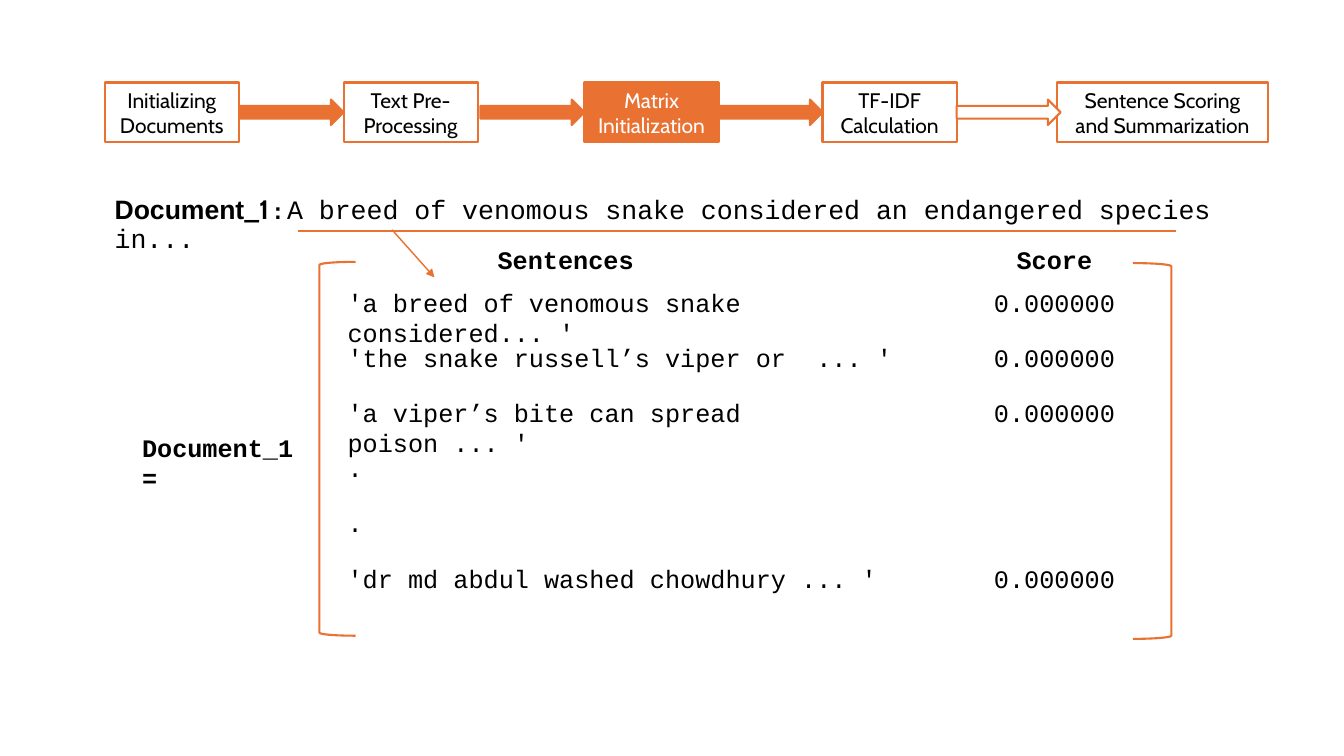
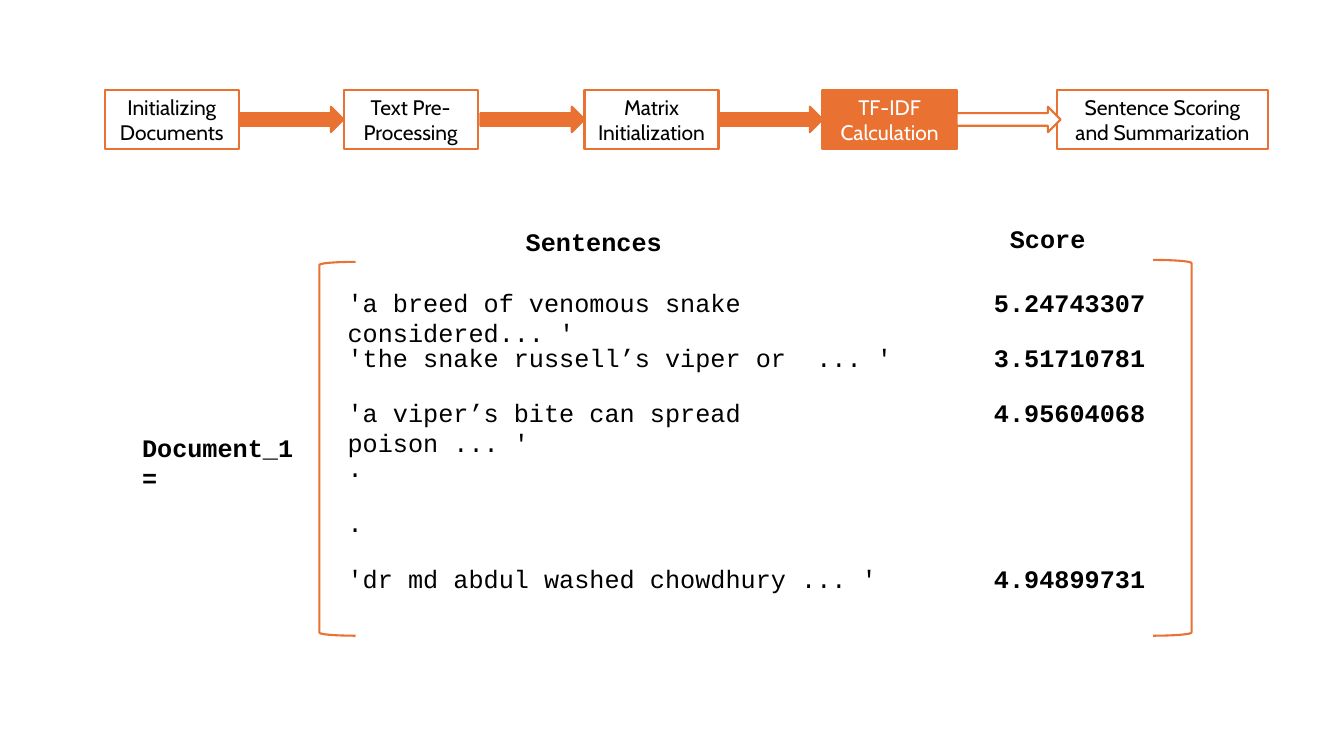
from lxml.etree import SubElement
from pptx import Presentation
from pptx.dml.color import RGBColor
from pptx.enum.shapes import MSO_CONNECTOR, MSO_SHAPE
from pptx.enum.text import MSO_ANCHOR, MSO_AUTO_SIZE, PP_ALIGN
from pptx.oxml.ns import qn
from pptx.util import Cm, Pt

# Content: "~" stands for a non-breaking space
STEPS = [  # text, left, width
    ("Initializing Documents", 2.64, 3.38),
    ("Text~Pre-Processing", 8.66, 3.38),
    ("Matrix Initialization", 14.73, 3.38),
    ("TF-IDF Calculation", 20.73, 3.38),
    ("Sentence Scoring and Summarization", 26.64, 5.31),
]
SENTENCES = [
    "'a breed of venomous snake considered...~'",
    "'the snake russell’s viper or~ ...~'",
    "'a viper’s bite can spread poison ...~'",
    ".",
    ".",
    "'dr md abdul washed chowdhury~...~'",
]
INTRO = [  # text, font, bold
    ("Document", "Arial", True),
    ("_1 :~", "Cabin", True),
    ("A breed of venomous snake considered an endangered species in...",
     "Courier New", False),
]
SLIDES = [
    {
        "active": 2, "flow_top": 2.08, "intro": INTRO,
        "scores": ["0.000000", "0.000000", "0.000000", "", "", "0.000000"],
        "bold_scores": False,
        "headings": [("Sentences", 12.29, 6.02), ("Score", 25.37, 6.02)],
        "right_bracket": (28.55, 6.63),
    },
    {
        "active": 3, "flow_top": 2.26, "intro": [],
        "scores": ["5.24743307", "3.51710781", "4.95604068", "", "",
                   "4.94899731"],
        "bold_scores": True,
        "headings": [("Sentences", 13.0, 5.59), ("Score", 25.2, 5.51)],
        "right_bracket": (29.06, 6.55),
    },
]

# Shared style and grid, in centimetres
COLORS = {"accent": "E97132", "text": "000000", "paper": "FFFFFF"}
MONO, SANS = "Courier New", "Cabin"
STEP_H, ARROW_W, ARROW_H = 1.5, 2.62, 0.64
ROW_TOP, ROW_STEP, LINE_H = 7.11, 1.39, 1.02
SENTENCE_X, SENTENCE_W = 8.51, 15.29
SCORE_X, LABEL_W = 24.8, 4.83


def rgb(name):
    return RGBColor.from_string(COLORS[name])


def add_text(p, text, font=MONO, size=18, color="text", bold=False):
    r = p.add_run()
    r.text = text.replace("~", chr(160))
    r.font.name, r.font.size, r.font.bold = font, Pt(size), bold
    r.font.color.rgb = rgb(color)


def add_box(s, x, y, w, h=LINE_H):
    tf = s.shapes.add_textbox(Cm(x), Cm(y), Cm(w), Cm(h)).text_frame
    tf.word_wrap = True
    tf.auto_size = MSO_AUTO_SIZE.SHAPE_TO_FIT_TEXT
    return tf.paragraphs[0]


def add_outlined(s, kind, x, y, w, h, fill=None):
    sp = s.shapes.add_shape(kind, Cm(x), Cm(y), Cm(w), Cm(h))
    sp.shadow.inherit = False
    if fill:
        sp.fill.solid()
        sp.fill.fore_color.rgb = rgb(fill)
    else:
        sp.fill.background()
    sp.line.color.rgb = rgb("accent")
    sp.line.width = Pt(1.5)
    return sp


def add_line(s, x1, y1, x2, y2, arrow=False):
    line = s.shapes.add_connector(MSO_CONNECTOR.STRAIGHT,
                                  Cm(x1), Cm(y1), Cm(x2), Cm(y2))
    line.line.color.rgb = rgb("accent")
    line.line.width = Pt(1)
    if arrow:
        SubElement(line.line._get_or_add_ln(), qn("a:tailEnd"),
                   type="triangle")
    SubElement(line._element.spPr, qn("a:effectLst"))


def add_flow(s, top, active):
    for i, (text, x, w) in enumerate(STEPS):
        on = i == active
        sp = add_outlined(s, MSO_SHAPE.RECTANGLE, x, top, w, STEP_H,
                          fill="accent" if on else "paper")
        tf = sp.text_frame
        tf.vertical_anchor = MSO_ANCHOR.MIDDLE
        p = tf.paragraphs[0]
        p.alignment = PP_ALIGN.CENTER
        add_text(p, text, font=SANS, size=15,
                 color="paper" if on else "text")
    # Arrows between neighbours; the last step is still open
    for i, ((_, x, w), (_, next_x, _)) in enumerate(zip(STEPS, STEPS[1:])):
        last = i == len(STEPS) - 2
        add_outlined(s, MSO_SHAPE.RIGHT_ARROW, max(x + w, next_x - ARROW_W),
                     top + (STEP_H - ARROW_H) / 2, ARROW_W, ARROW_H,
                     fill="paper" if last else "accent")


def add_intro(s, parts):
    p = add_box(s, 2.64, 4.83, 28.96, 1.8)
    p.line_spacing, p.space_before = 0.9, Pt(10)
    for text, font, bold in parts:
        add_text(p, text, font=font, size=19, bold=bold)
    add_line(s, 9.88, 5.79, 10.95, 6.99, arrow=True)
    add_line(s, 7.52, 5.82, 29.64, 5.82)


def add_matrix(s, data):
    add_outlined(s, MSO_SHAPE.RIGHT_BRACKET, *data["right_bracket"],
                 0.97, 9.47)
    add_outlined(s, MSO_SHAPE.LEFT_BRACKET, 8.05, 6.6, 0.91, 9.42)
    for i, (sentence, score) in enumerate(zip(SENTENCES, data["scores"])):
        y = ROW_TOP + i * ROW_STEP
        add_text(add_box(s, SENTENCE_X, y, SENTENCE_W), sentence)
        if score:
            add_text(add_box(s, SCORE_X, y, LABEL_W), score,
                     bold=data["bold_scores"])
    for text, x, y in data["headings"] + [("Document_1~=", 3.33, 10.77)]:
        add_text(add_box(s, x, y, LABEL_W), text, bold=True)


def main():
    prs = Presentation()
    prs.slide_width, prs.slide_height = Cm(33.87), Cm(19.05)
    for data in SLIDES:
        s = prs.slides.add_slide(prs.slide_layouts[6])
        if data["intro"]:
            add_intro(s, data["intro"])
        add_matrix(s, data)
        add_flow(s, data["flow_top"], data["active"])
    prs.save("out.pptx")


if __name__ == "__main__":
    main()
